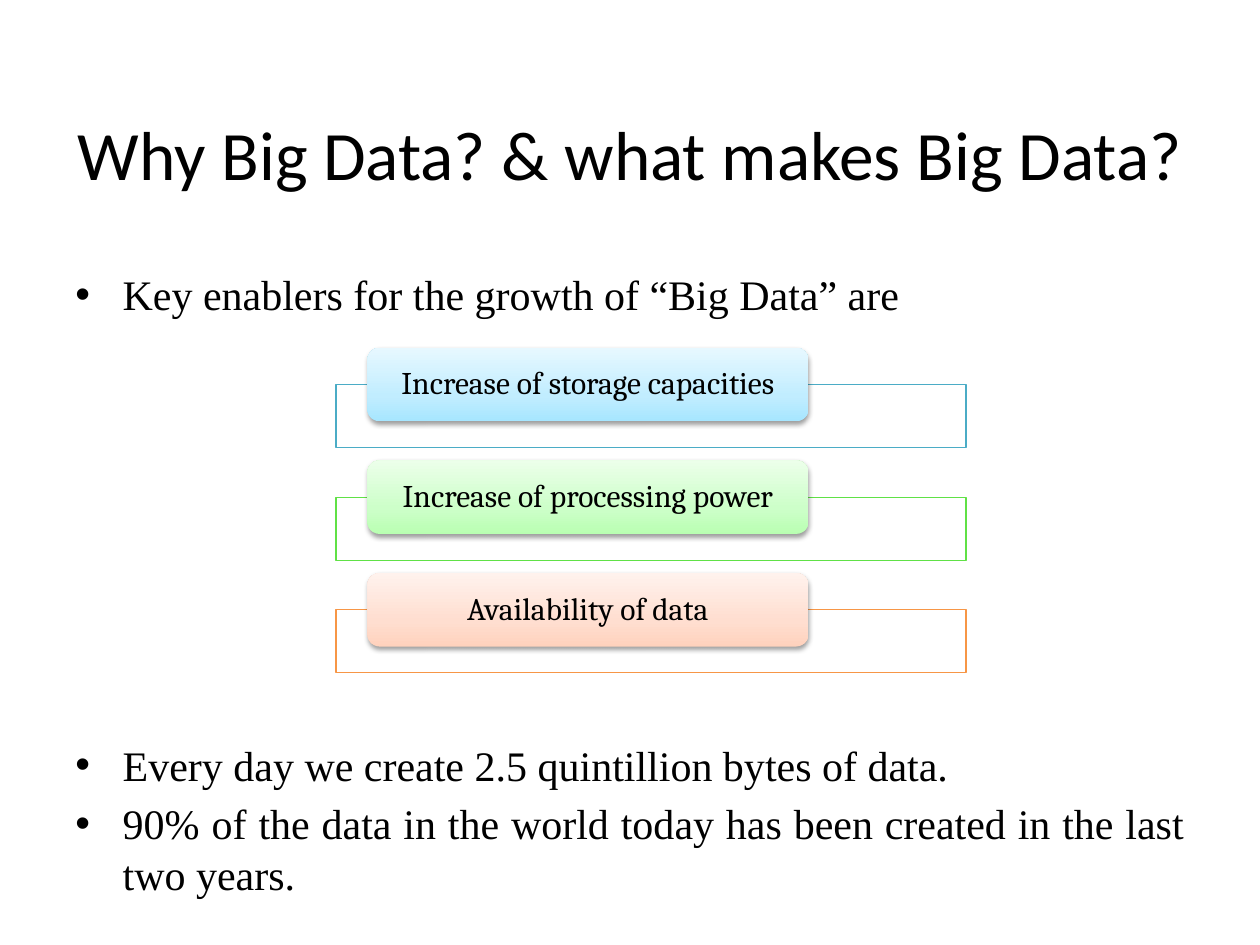
from dataclasses import dataclass

from lxml.etree import SubElement
from pptx import Presentation
from pptx.dml.color import RGBColor
from pptx.enum.shapes import MSO_SHAPE
from pptx.enum.text import MSO_ANCHOR, PP_ALIGN
from pptx.oxml.ns import qn
from pptx.slide import Slide
from pptx.util import Pt


@dataclass(frozen=True)
class Theme:
    ink: str = "000000"
    paper: str = "FFFFFF"
    head: str = "Calibri"
    body: str = "Times New Roman"
    label: str = "Cambria"
    head_size: float = 39.6
    body_size: float = 24
    label_size: float = 18


@dataclass(frozen=True)
class Driver:
    text: str
    edge: str
    shades: tuple[str, str, str]


@dataclass(frozen=True)
class Block:
    top: float
    height: float
    lines: tuple[str, ...]


THEME = Theme()
STOPS = (0, 35, 100)
TOP, PITCH = 198.8, 64.35
DRIVERS = (
    Driver("Increase of storage capacities", "4BACC6", ("A7E6FF", "C1EDFF", "E7F8FF")),
    Driver("Increase of processing power", "60E146", ("B9FFB2", "CDFFC9", "ECFFEA")),
    Driver("Availability of data", "F79646", ("FFD2BD", "FFDED0", "FFF2ED")),
)
BLOCKS = (
    Block(148.2, 40, ("Key enablers for the growth of “Big Data” are",)),
    Block(417.2, 102, (
        "Every day we create 2.5 quintillion bytes of data.",
        "90% of the data in the world today has been created in the last two years.",
    )),
)


def style(para, face: str, size: float) -> None:
    for run in para.runs:
        run.font.name = face
        run.font.size = Pt(size)
        run.font.color.rgb = RGBColor.from_string(THEME.ink)


def add_title(slide: Slide, text: str) -> None:
    title = slide.shapes.title
    title.left, title.top, title.width, title.height = Pt(36), Pt(63.8), Pt(648), Pt(80)
    frame = title.text_frame
    frame.text = text
    frame.vertical_anchor = MSO_ANCHOR.TOP
    frame.margin_top = 0
    para = frame.paragraphs[0]
    para.alignment = PP_ALIGN.CENTER
    style(para, THEME.head, THEME.head_size)


def add_bullets(slide: Slide, block: Block) -> None:
    box = slide.shapes.add_textbox(Pt(36), Pt(block.top), Pt(648), Pt(block.height))
    frame = box.text_frame
    frame.word_wrap = True
    frame.margin_top = Pt(5)
    for i, line in enumerate(block.lines):
        para = frame.add_paragraph() if i else frame.paragraphs[0]
        para.text = line
        para.alignment = PP_ALIGN.JUSTIFY
        para.line_spacing = Pt(29)
        para.space_before = Pt(4.5 if i else 0)
        props = para._p.get_or_add_pPr()
        props.set("marL", str(Pt(27)))
        props.set("indent", str(Pt(-27)))
        SubElement(props, qn("a:buFont"), typeface="Arial")
        SubElement(props, qn("a:buChar"), char="•")
        style(para, THEME.body, THEME.body_size)


def add_frame(slide: Slide, top: float, edge: str) -> None:
    box = slide.shapes.add_shape(MSO_SHAPE.RECTANGLE, Pt(192), Pt(top + 21), Pt(360), Pt(36))
    box.shadow.inherit = False
    box.fill.solid()
    box.fill.fore_color.rgb = RGBColor.from_string(THEME.paper)
    tint = box._element.spPr.find(qn("a:solidFill"))[0]
    SubElement(tint, qn("a:alpha"), val="90000")
    box.line.color.rgb = RGBColor.from_string(edge)
    box.line.width = Pt(0.75)


def add_pill(slide: Slide, top: float, driver: Driver) -> None:
    pill = slide.shapes.add_shape(
        MSO_SHAPE.ROUNDED_RECTANGLE, Pt(210), Pt(top), Pt(252), Pt(42))
    pill.line.fill.background()
    pill.fill.gradient()
    pill.fill.gradient_angle = 90
    props = pill._element.spPr
    stops = props.find(qn("a:gradFill")).find(qn("a:gsLst"))
    stops.clear()
    for pos, shade in zip(STOPS, driver.shades):
        stop = SubElement(stops, qn("a:gs"), pos=str(pos * 1000))
        SubElement(stop, qn("a:srgbClr"), val=shade)

    pill.shadow.inherit = False
    cast = SubElement(
        props.find(qn("a:effectLst")), qn("a:outerShdw"), blurRad=str(Pt(3.1)),
        dist=str(Pt(1.6)), dir="5400000", rotWithShape="0")
    tint = SubElement(cast, qn("a:srgbClr"), val=THEME.ink)
    SubElement(tint, qn("a:alpha"), val="38000")

    frame = pill.text_frame
    frame.text = driver.text
    frame.word_wrap = True
    frame.vertical_anchor = MSO_ANCHOR.MIDDLE
    frame.margin_left = frame.margin_right = Pt(11.5)
    frame.margin_top = frame.margin_bottom = 0
    para = frame.paragraphs[0]
    para.alignment = PP_ALIGN.CENTER
    para.line_spacing = 0.9
    style(para, THEME.label, THEME.label_size)


def main() -> None:
    deck = Presentation()
    deck.slide_width, deck.slide_height = Pt(720), Pt(540)
    slide = deck.slides.add_slide(deck.slide_layouts.get_by_name("Title Only"))
    add_title(slide, "Why Big Data? & what makes Big Data?")
    for block in BLOCKS:
        add_bullets(slide, block)
    for i, driver in enumerate(DRIVERS):
        top = TOP + i * PITCH
        add_frame(slide, top, driver.edge)
        add_pill(slide, top, driver)
    deck.save("out.pptx")


if __name__ == "__main__":
    main()
